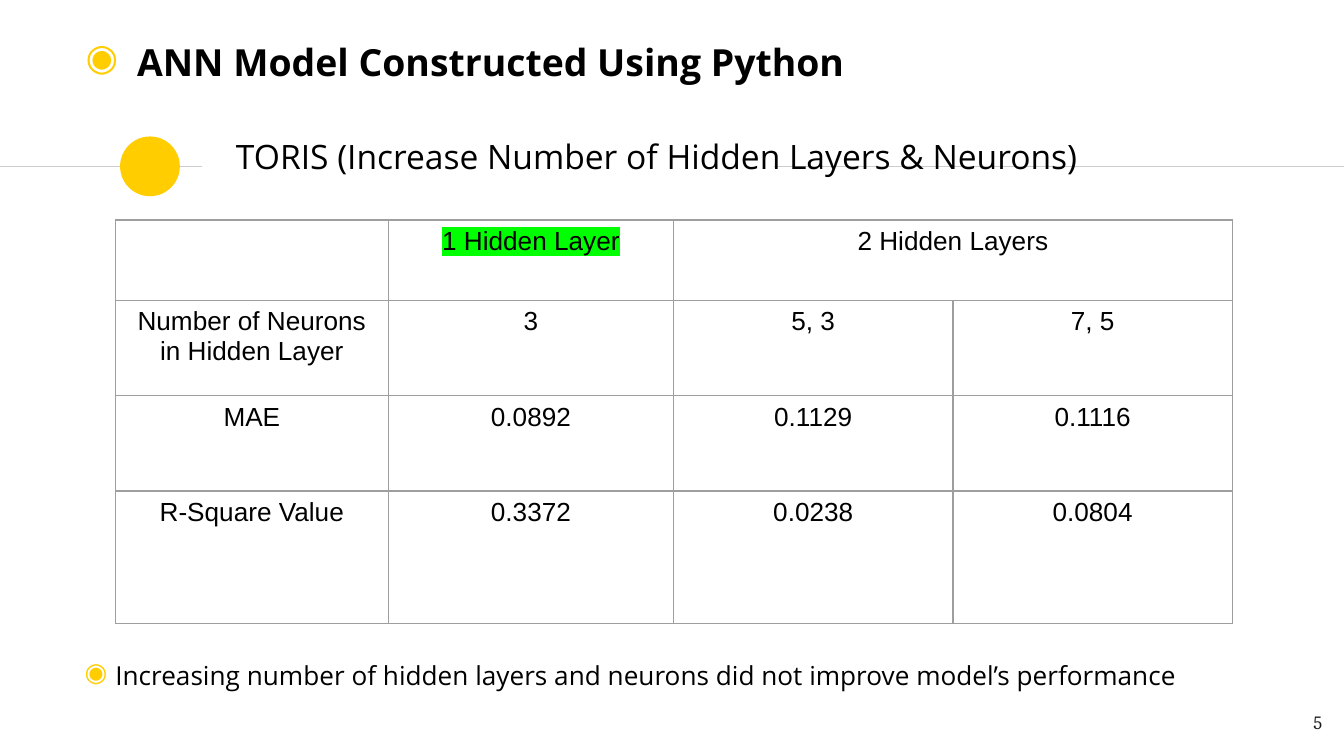
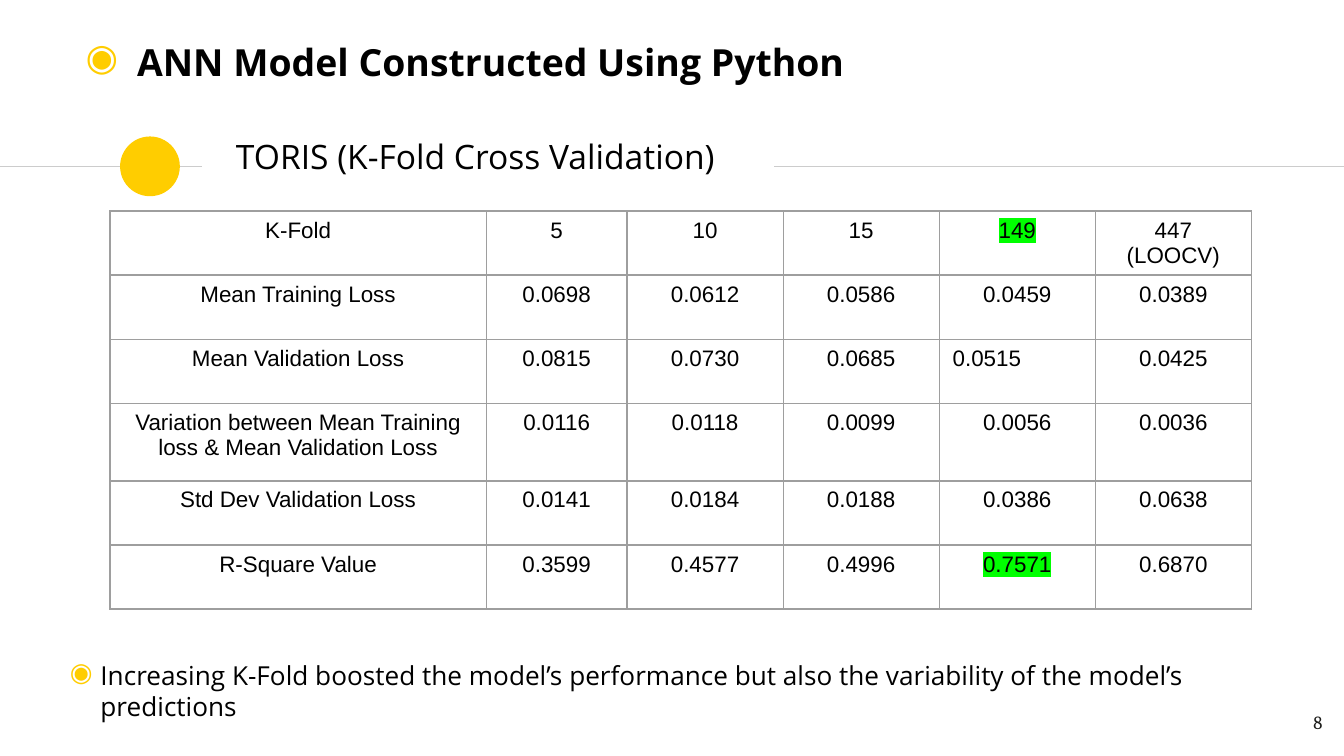
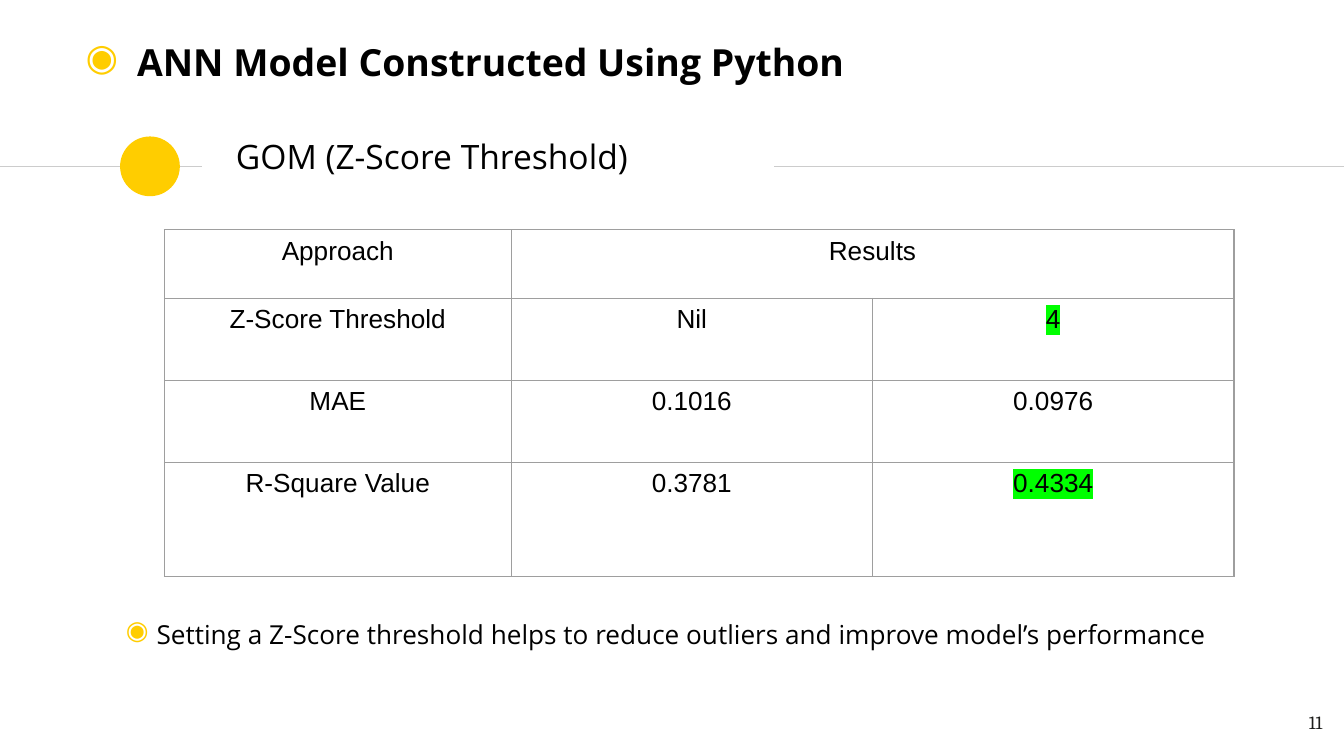
import pptx
import pptx.dml.color
import pptx.enum.shapes
import pptx.enum.text
import pptx.oxml
import pptx.oxml.ns
import pptx.util

Cm = pptx.util.Cm
Pt = pptx.util.Pt
qn = pptx.oxml.ns.qn
ALIGN = pptx.enum.text.PP_ALIGN
ANCHOR = pptx.enum.text.MSO_ANCHOR
SHAPE = pptx.enum.shapes.MSO_SHAPE
NAMESPACE = pptx.oxml.ns.nsdecls("a")

YELLOW = "FFCD00"
RULE_GREY = "CCCCCC"
BORDER_GREY = "9E9E9E"
BLACK = "000000"
NUMBER_INK = "1D1D1B"
MARKER_GREEN = "00FF00"
BODY_FONT = "Open Sans"
INSET = Cm(0.25)


def colour(code):
    return pptx.dml.color.RGBColor.from_string(code)


def write(para, text, size, font=BODY_FONT, ink=BLACK, bold=False, align=ALIGN.LEFT):
    para.alignment = align
    span = para.add_run()
    span.text = text
    span.font.size = Pt(size)
    span.font.name = font
    span.font.bold = bold
    span.font.color.rgb = colour(ink)
    return span


pages = [
    {
        "number": "5",
        "heading": "TORIS (Increase Number of Hidden Layers & Neurons)",
        "corner": (2.18, 4.16),
        "columns": [5.16, 5.39, 5.28, 5.28],
        "rows": [1.52, 1.8, 1.8, 2.51],
        "size": 14,
        "cells": [
            ["", "1 Hidden Layer", "2 Hidden Layers", None],
            ["Number of Neurons in Hidden Layer", "3", "5, 3", "7, 5"],
            ["MAE", "0.0892", "0.1129", "0.1116"],
            ["R-Square Value", "0.3372", "0.0238", "0.0804"],
        ],
        "marked": [(0, 1)],
        "left_aligned": [],
        "note": "Increasing number of hidden layers and neurons did not improve model’s performance",
        "note_place": (1.35, 12.34, 22.23, 0.86),
    },
    {
        "number": "8",
        "heading": "TORIS (K-Fold Cross Validation)",
        "corner": (2.08, 3.99),
        "columns": [7.11, 2.66] + [2.95] * 4,
        "rows": [1.21, 1.21, 1.21, 1.47, 1.21, 1.21],
        "size": 12,
        "cells": [
            ["K-Fold", "5", "10", "15", "149", "447 (LOOCV)"],
            ["Mean Training Loss", "0.0698", "0.0612", "0.0586", "0.0459", "0.0389"],
            ["Mean Validation Loss", "0.0815", "0.0730", "0.0685", "0.0515", "0.0425"],
            ["Variation between Mean Training loss & Mean Validation Loss",
             "0.0116", "0.0118", "0.0099", "0.0056", "0.0036"],
            ["Std Dev Validation Loss", "0.0141", "0.0184", "0.0188", "0.0386", "0.0638"],
            ["R-Square Value", "0.3599", "0.4577", "0.4996", "0.7571", "0.6870"],
        ],
        "marked": [(0, 4), (5, 4)],
        "left_aligned": [(2, 4)],
        "note": "Increasing K-Fold boosted the model’s performance but also the variability "
                "of the model’s predictions",
        "note_place": (1.07, 12.34, 24.05, 1.45),
    },
    {
        "number": "11",
        "heading": "GOM (Z-Score Threshold)",
        "corner": (3.11, 4.34),
        "columns": [6.55, 6.83, 6.83],
        "rows": [1.3, 1.55, 1.55, 2.15],
        "size": 14,
        "cells": [
            ["Approach", "Results", None],
            ["Z-Score Threshold", "Nil", "4"],
            ["MAE", "0.1016", "0.0976"],
            ["R-Square Value", "0.3781", "0.4334"],
        ],
        "marked": [(1, 2), (3, 2)],
        "left_aligned": [],
        "note": "Setting a Z-Score threshold helps to reduce outliers and improve model’s performance",
        "note_place": (2.13, 11.56, 22.5, 0.86),
    },
]

deck = pptx.Presentation()
deck.slide_width = Cm(25.4)
deck.slide_height = Cm(14.29)
layout = deck.slide_layouts[1]
for holder in list(layout.placeholders):
    if holder.placeholder_format.idx >= 10:
        layout.shapes.element.remove(holder.element)

for position, content in enumerate(pages):
    page = deck.slides.add_slide(layout)

    if position == 0:
        for start, end in [(0, 3.81), (14.63, 25.4)]:
            rule = page.shapes.add_connector(
                pptx.enum.shapes.MSO_CONNECTOR.STRAIGHT, Cm(start), Cm(3.15), Cm(end), Cm(3.15))
            rule.line.color.rgb = colour(RULE_GREY)
            rule.line.width = Pt(0.75)
            rule.element.spPr.append(pptx.oxml.parse_xml(f"<a:effectLst {NAMESPACE}/>"))
            layout.shapes.element.append(rule.element)
        dot = page.shapes.add_shape(SHAPE.OVAL, Cm(2.27), Cm(2.58), Cm(1.13), Cm(1.13))
        dot.shadow.inherit = False
        dot.fill.solid()
        dot.fill.fore_color.rgb = colour(YELLOW)
        dot.line.fill.background()
        layout.shapes.element.append(dot.element)
        for number, shape in enumerate(layout.shapes, start=2):
            shape.element.xpath(".//p:cNvPr")[0].set("id", str(number))

    title = page.shapes.title
    heading = page.placeholders[1]
    note = page.shapes.add_textbox(*map(Cm, content["note_place"]))
    page_number = page.shapes.add_textbox(Cm(23.72), Cm(13.18), Cm(1.52), Cm(1.09))
    title.left, title.top, title.width, title.height = map(Cm, (1.07, 0.56, 23.57, 1.22))
    heading.left, heading.top, heading.width, heading.height = map(Cm, (3.91, 2.31, 17.07, 1.14))
    for box in (title, heading, note, page_number):
        box.text_frame.word_wrap = True
        box.text_frame.auto_size = pptx.enum.text.MSO_AUTO_SIZE.NONE
        box.text_frame.vertical_anchor = ANCHOR.TOP
    for box in (title, heading, page_number):
        frame = box.text_frame
        frame.margin_left = frame.margin_right = INSET
        frame.margin_top = frame.margin_bottom = INSET
    title.text_frame.vertical_anchor = ANCHOR.MIDDLE

    write(title.text_frame.paragraphs[0], "ANN Model Constructed Using Python", 20, bold=True)
    write(note.text_frame.paragraphs[0], content["note"], 14)
    write(page_number.text_frame.paragraphs[0], content["number"], 10,
          font="Cambria", ink=NUMBER_INK, align=ALIGN.RIGHT)

    heading_para = heading.text_frame.paragraphs[0]
    write(heading_para, content["heading"], 18)
    heading_para.space_before = Pt(6)
    properties = heading_para._p.get_or_add_pPr()
    properties.set("marL", str(Cm(0.3)))
    properties.set("indent", "0")
    properties.append(pptx.oxml.parse_xml(f"<a:buNone {NAMESPACE}/>"))

    for box, margin, hanging in [(title, 1.27, 0.97), (note, 0.58, 0.58)]:
        properties = box.text_frame.paragraphs[0]._p.get_or_add_pPr()
        properties.set("marL", str(Cm(margin)))
        properties.set("indent", str(-Cm(hanging)))
        for bullet in (f'<a:buClr {NAMESPACE}><a:srgbClr val="{YELLOW}"/></a:buClr>',
                       f'<a:buChar {NAMESPACE} char="◉"/>'):
            properties.append(pptx.oxml.parse_xml(bullet))

    left, top = content["corner"]
    frame = page.shapes.add_table(
        len(content["rows"]), len(content["columns"]), Cm(left), Cm(top),
        Cm(sum(content["columns"])), Cm(sum(content["rows"])))
    table = frame.table
    table.first_row = False
    table.horz_banding = False
    for column, width in zip(table.columns, content["columns"]):
        column.width = Cm(width)
    for row, height in zip(table.rows, content["rows"]):
        row.height = Cm(height)

    for row_index, texts in enumerate(content["cells"]):
        for column_index, text in enumerate(texts):
            place = (row_index, column_index)
            cell = table.cell(*place)
            cell.fill.background()
            properties = cell._tc.get_or_add_tcPr()
            for order, side in enumerate(("lnL", "lnR", "lnT", "lnB")):
                properties.insert(order, pptx.oxml.parse_xml(
                    f'<a:{side} {NAMESPACE} w="{Pt(0.75)}"><a:solidFill>'
                    f'<a:srgbClr val="{BORDER_GREY}"/></a:solidFill></a:{side}>'))
            if text is None:
                table.cell(row_index, column_index - 1).merge(cell)
            elif text:
                align = ALIGN.LEFT if place in content["left_aligned"] else ALIGN.CENTER
                span = write(cell.text_frame.paragraphs[0], text, content["size"],
                             font="Arial", align=align)
                if place in content["marked"]:
                    span._r.get_or_add_rPr().find(qn("a:solidFill")).addnext(pptx.oxml.parse_xml(
                        f'<a:highlight {NAMESPACE}><a:srgbClr val="{MARKER_GREEN}"/></a:highlight>'))

deck.save("out.pptx")
